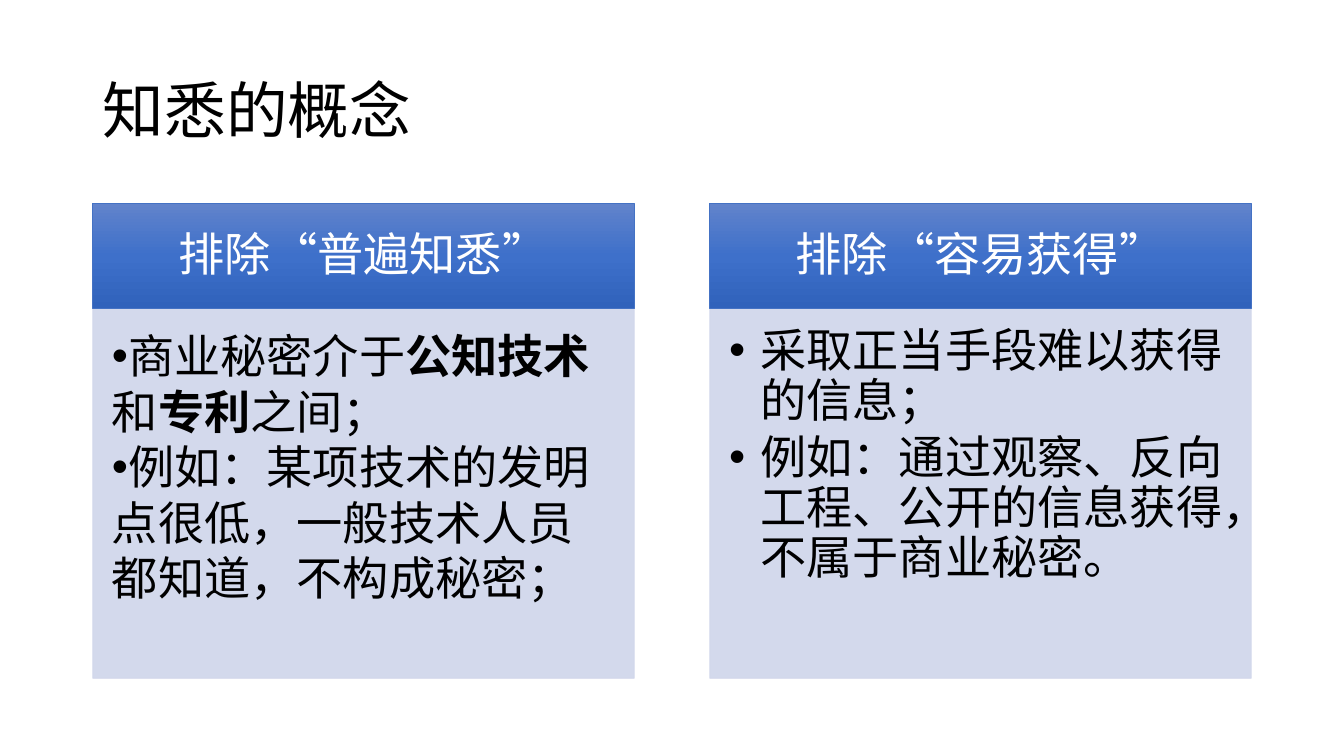
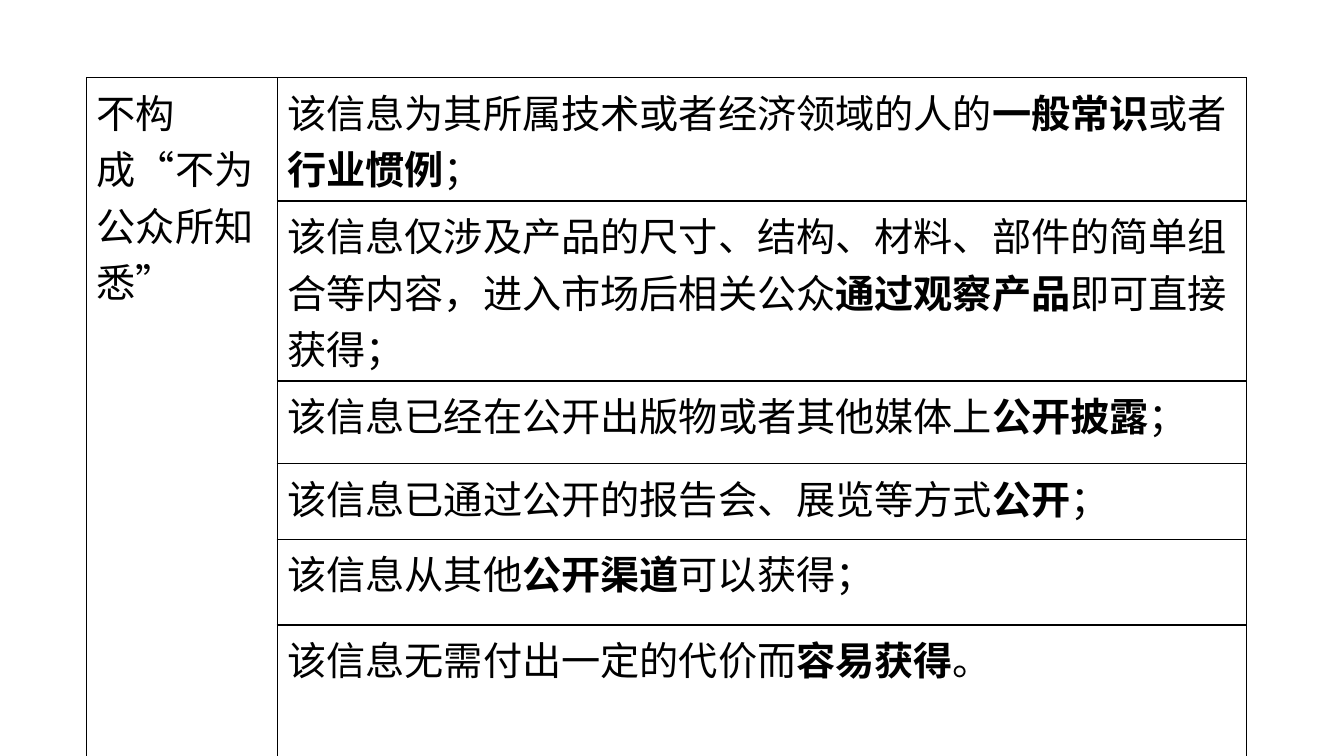
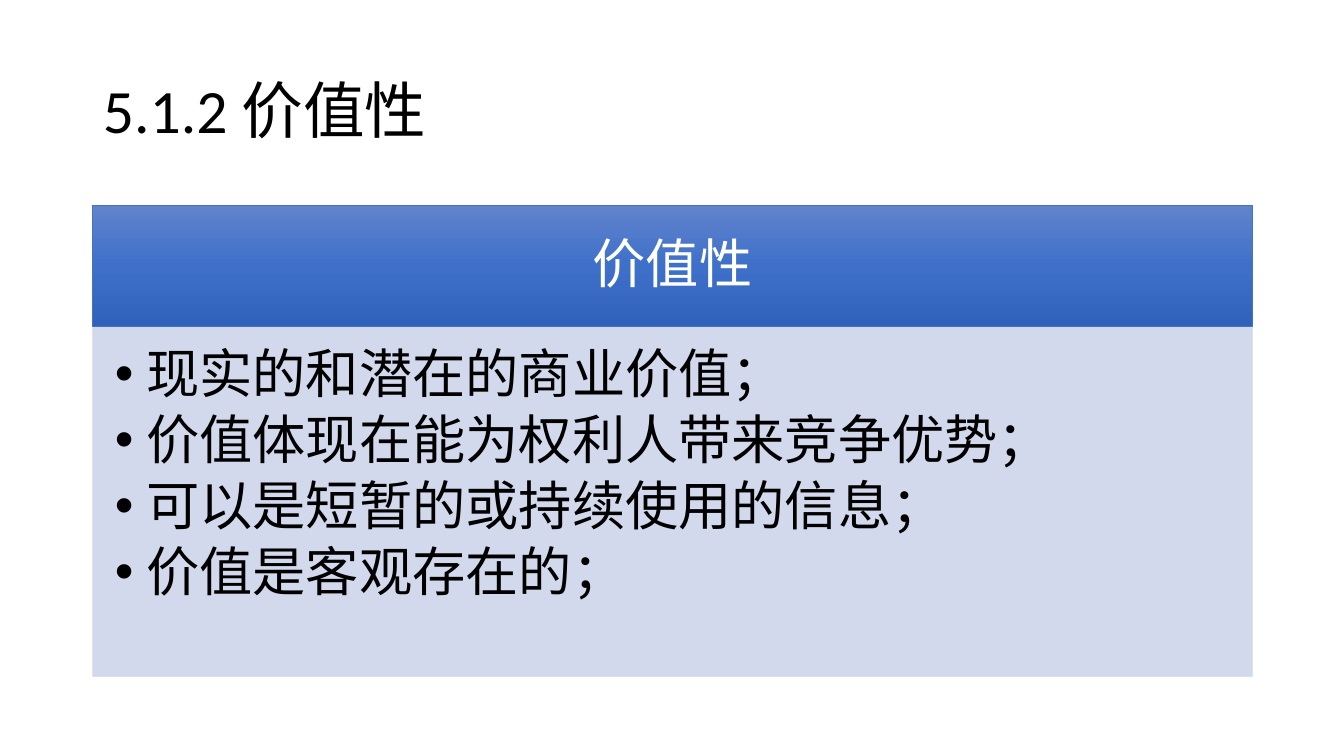
from copy import deepcopy
from dataclasses import dataclass

from lxml.etree import SubElement
from pptx import Presentation
from pptx.dml.color import RGBColor
from pptx.enum.shapes import MSO_SHAPE
from pptx.enum.text import MSO_ANCHOR, MSO_AUTO_SIZE, PP_ALIGN
from pptx.oxml.ns import qn
from pptx.util import Inches, Pt


@dataclass(frozen=True)
class Theme:
    font: str = "Calibri"
    text: str = "000000"
    band_text: str = "FFFFFF"
    band_line: str = "4472C4"
    band_stops: tuple = ((0, "6183CB"), (0.5, "3E70CA"), (1, "3062BB"))
    panel: str = "CFD5EA"
    panel_opacity: int = 90000
    title_size: int = 44
    column_size: int = 33
    wide_size: int = 38
    table_size: int = 28
    left: float = 0.92
    width: float = 11.5


class Deck:
    """Build slides in one style, keeping track of the current slide."""

    def __init__(self, theme):
        self.theme = theme
        self.presentation = Presentation()
        self.presentation.slide_width = Inches(13.33)
        self.presentation.slide_height = Inches(7.5)
        self.slide = None

    def add_slide(self, layout, title=None):
        self.slide = self.presentation.slides.add_slide(self.presentation.slide_layouts[layout])
        if title:
            shape = self.slide.shapes.title
            self.place(shape, self.theme.left, 0.4, self.theme.width, 1.45)
            self.prepare(shape.text_frame, (0.1, 0.05, 0.1, 0.05), MSO_ANCHOR.MIDDLE)
            paragraph = shape.text_frame.paragraphs[0]
            self.set_text(paragraph, title, self.theme.title_size, self.theme.text)
            paragraph.alignment = PP_ALIGN.LEFT
            paragraph.line_spacing = 0.9

    def place(self, shape, left, top, width, height):
        shape.left, shape.top = Inches(left), Inches(top)
        shape.width, shape.height = Inches(width), Inches(height)

    def prepare(self, frame, insets, anchor):
        frame.word_wrap = True
        frame.auto_size = MSO_AUTO_SIZE.NONE
        frame.vertical_anchor = anchor
        frame.margin_left, frame.margin_top, frame.margin_right, frame.margin_bottom = map(Inches, insets)

    def set_text(self, paragraph, text, size, color):
        for index, part in enumerate(text.split("**")):
            if part:
                run = paragraph.add_run()
                run.text = part
                if index % 2:
                    run.font.bold = True
        font = paragraph.font
        font.name, font.size = self.theme.font, Pt(size)
        font.color.rgb = RGBColor.from_string(color)

    def band(self, text, left, top, width, height, size):
        shape = self.slide.shapes.add_shape(
            MSO_SHAPE.RECTANGLE, Inches(left), Inches(top), Inches(width), Inches(height))
        shape.shadow.inherit = False
        shape.fill.gradient()
        shape.fill.gradient_angle = 270
        stop_list = next(shape._element.spPr.iter(qn("a:gsLst")))
        stop_list.append(deepcopy(stop_list[0]))
        for stop, (position, color) in zip(shape.fill.gradient_stops, self.theme.band_stops):
            stop.position = position
            stop.color.rgb = RGBColor.from_string(color)
        shape.line.color.rgb = RGBColor.from_string(self.theme.band_line)
        shape.line.width = Pt(0.5)
        self.prepare(shape.text_frame, (0.26, 0.15, 0.26, 0.15), MSO_ANCHOR.MIDDLE)
        paragraph = shape.text_frame.paragraphs[0]
        self.set_text(paragraph, text, size, self.theme.band_text)
        paragraph.alignment = PP_ALIGN.CENTER
        paragraph.line_spacing = 0.9

    def panel(self, index, items, left, top, width, height, size, hanging=True):
        shape = self.slide.placeholders[index]
        self.place(shape, left, top, width, height)
        shape.fill.solid()
        shape.line.width = Pt(0.5)
        for color in (shape.fill.fore_color, shape.line.color):
            color.rgb = RGBColor.from_string(self.theme.panel)
        for color in shape._element.spPr.iter(qn("a:srgbClr")):
            SubElement(color, qn("a:alpha"), val=str(self.theme.panel_opacity))
        inset = round(size / 173, 2)
        self.prepare(shape.text_frame, (inset, inset, 0.26, 0.29), MSO_ANCHOR.TOP)
        indent = Inches(0.31) if hanging else 0
        for number, item in enumerate(items):
            frame = shape.text_frame
            paragraph = frame.add_paragraph() if number else frame.paragraphs[0]
            properties = paragraph._p.get_or_add_pPr()
            properties.set("marL", str(indent))
            properties.set("indent", str(-indent))
            self.set_text(paragraph, item, size, self.theme.text)
            paragraph.line_spacing = 0.9 if hanging else 1.0
            paragraph.space_before = Pt(0)
            paragraph.space_after = Pt(round(size * 0.15) if hanging else 0)

    def table(self, heading, rows, left, top, column_widths, row_heights):
        table = self.slide.shapes.add_table(
            len(rows), 2, Inches(left), Inches(top),
            Inches(sum(column_widths)), Inches(sum(row_heights))).table
        table.first_row = table.horz_banding = False
        for column, width in zip(table.columns, column_widths):
            column.width = Inches(width)
        for row, height in zip(table.rows, row_heights):
            row.height = Inches(height)
        for cell in table.iter_cells():
            self.border(cell)
            cell.fill.background()
        table.cell(0, 0).merge(table.cell(len(rows) - 1, 0))
        texts = [(table.cell(0, 0), heading)]
        texts += [(table.cell(index, 1), text) for index, text in enumerate(rows)]
        for cell, text in texts:
            self.set_text(cell.text_frame.paragraphs[0], text, self.theme.table_size, self.theme.text)

    def border(self, cell):
        properties = cell._tc.get_or_add_tcPr()
        for side in ("a:lnL", "a:lnR", "a:lnT", "a:lnB"):
            line = SubElement(properties, qn(side), w=str(Pt(1)))
            fill = SubElement(line, qn("a:solidFill"))
            SubElement(fill, qn("a:srgbClr"), val=self.theme.text)


def main():
    theme = Theme()
    deck = Deck(theme)

    deck.add_slide(3, "知悉的概念")
    columns = (
        ("排除“普遍知悉”", False, (
            "商业秘密介于**公知技术**和**专利**之间；",
            "例如：某项技术的发明点很低，一般技术人员都知道，不构成秘密；")),
        ("排除“容易获得”", True, (
            "采取正当手段难以获得的信息；",
            "例如：通过观察、反向工程、公开的信息获得，不属于商业秘密。")),
    )
    column_width, column_step = 5.37, 6.12
    for number, (heading, hanging, items) in enumerate(columns):
        left = theme.left + number * column_step
        deck.band(heading, left, 2.02, column_width, 1.04, theme.column_size)
        deck.panel(number + 1, items, left, 3.06, column_width, 3.67, theme.column_size, hanging)

    deck.add_slide(6)
    deck.table("不构成“不为公众所知悉”", (
        "该信息为其所属技术或者经济领域的人的**一般常识**或者**行业惯例**；",
        "该信息仅涉及产品的尺寸、结构、材料、部件的简单组合等内容，"
        "进入市场后相关公众**通过观察产品**即可直接获得；",
        "该信息已经在公开出版物或者其他媒体上**公开披露**；",
        "该信息已通过公开的报告会、展览等方式**公开**；",
        "该信息从其他**公开渠道**可以获得；",
        "该信息无需付出一定的代价而**容易获得**。",
    ), 0.86, 0.77, (1.89, 9.61), (1.1, 1.6, 0.82, 0.75, 0.85, 1.21))

    deck.add_slide(1, "5.1.2 价值性")
    deck.band("价值性", theme.left, 2.04, theme.width, 1.2, theme.wide_size)
    deck.panel(1, (
        "现实的和潜在的商业价值；",
        "价值体现在能为权利人带来竞争优势；",
        "可以是短暂的或持续使用的信息；",
        "价值是客观存在的；",
    ), theme.left, 3.23, theme.width, 3.48, theme.wide_size)

    deck.presentation.save("out.pptx")


if __name__ == "__main__":
    main()
